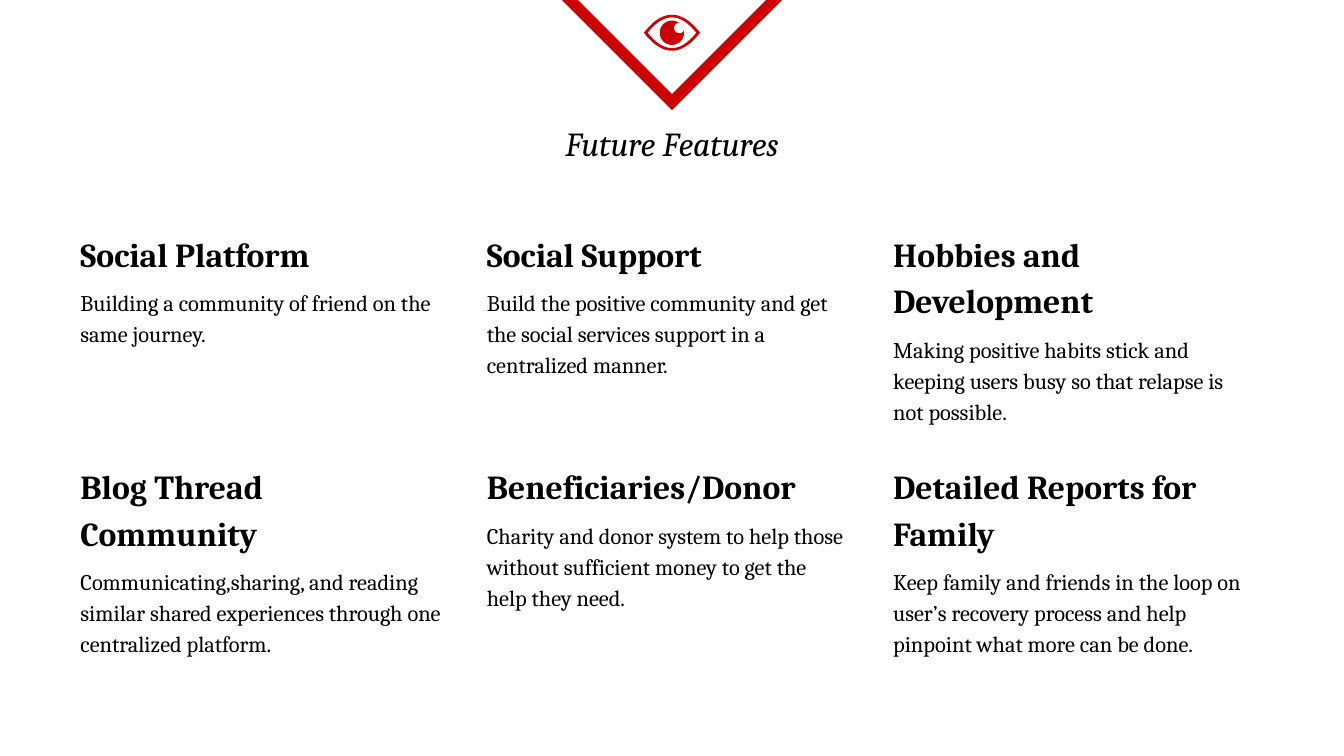
from copy import deepcopy
from dataclasses import dataclass
from math import cos, radians, sin

from lxml import etree
from pptx import Presentation
from pptx import util as u
from pptx.dml.color import RGBColor
from pptx.enum import shapes, text
from pptx.oxml import ns


@dataclass(frozen=True)
class Theme:
    accent: RGBColor = RGBColor(0xCC, 0x00, 0x00)
    ink: RGBColor = RGBColor(0x00, 0x00, 0x00)
    font: str = "Cambria"
    heading: int = 18
    body: int = 12
    frame: int = 6
    inset: float = 0.25


@dataclass(frozen=True)
class Box:
    left: float
    top: float
    width: float
    height: float

    def place(self, shape):
        shape.left, shape.top = u.Cm(self.left), u.Cm(self.top)
        shape.width, shape.height = u.Cm(self.width), u.Cm(self.height)


THEME = Theme()
FEATURES = [
    ("Social Platform", "Building a community of friend on the same journey."),
    ("Social Support", "Build the positive community and get the social services "
     "support in a centralized manner."),
    ("Hobbies and Development", "Making positive habits stick and keeping users busy "
     "so that relapse is not possible."),
    ("Blog Thread Community", "Communicating,sharing, and reading similar shared "
     "experiences through one centralized platform."),
    ("Beneficiaries/Donor", "Charity and donor system to help those without "
     "sufficient money to get the help they need."),
    ("Detailed Reports for Family", "Keep family and friends in the loop on user’s "
     "recovery process and help pinpoint what more can be done."),
]


def write(para, words, size=THEME.body, bold=False, italic=False,
          align=text.PP_ALIGN.LEFT, spacing=1.0, before=0):
    para.alignment, para.line_spacing = align, spacing
    para.space_before, para.space_after = u.Pt(before), u.Pt(0)
    props = para._p.get_or_add_pPr()
    props.set("marL", "0")
    props.set("indent", "0")
    etree.SubElement(props, ns.qn("a:buNone"))
    span = para.add_run()
    span.text = words
    span.font.name, span.font.size = THEME.font, u.Pt(size)
    span.font.bold, span.font.italic = bold, italic
    span.font.color.rgb = THEME.ink


def prepare_frame(holder, box):
    box.place(holder)
    frame = holder.text_frame
    frame.word_wrap = True
    frame.auto_size = text.MSO_AUTO_SIZE.NONE
    frame.vertical_anchor = text.MSO_ANCHOR.TOP
    frame.margin_left = frame.margin_right = u.Cm(THEME.inset)
    frame.margin_top = frame.margin_bottom = u.Cm(THEME.inset)
    return frame


def add_pointer(page, box):
    pointer = page.shapes.add_shape(shapes.MSO_SHAPE.ISOSCELES_TRIANGLE, 0, 0, 0, 0)
    box.place(pointer)
    pointer.rotation = 180
    pointer.shadow.inherit = False
    pointer.fill.background()
    pointer.line.color.rgb = THEME.accent
    pointer.line.width = u.Pt(THEME.frame)
    etree.SubElement(pointer.line._ln, ns.qn("a:miter")).set("lim", "800000")


def almond(half_width, half_height, steps=16):
    upper = [(half_width * i / steps, -half_height * (1 - (i / steps) ** 2))
             for i in range(-steps, steps + 1)]
    return upper + [(-x, -y) for x, y in upper[1:]]


def arc(x, y, radius, start, end, steps=32):
    angles = [radians(start + (end - start) * i / steps) for i in range(steps + 1)]
    return [(x + radius * cos(angle), y + radius * sin(angle)) for angle in angles]


def add_outline(group, centre, contours):
    placed = [[(u.Cm(centre[0] + x), u.Cm(centre[1] + y)) for x, y in contour]
              for contour in contours]
    builder = group.shapes.build_freeform(*placed[0][0])
    for number, contour in enumerate(placed):
        if number:
            builder.move_to(*contour[0])
        builder.add_line_segments(contour[1:], close=True)
    outline = builder.convert_to_shape()
    outline.shadow.inherit = False
    outline.fill.solid()
    outline.fill.fore_color.rgb = THEME.accent
    outline.line.fill.background()


def add_eye(page, box):
    centre = box.left + box.width / 2, box.top + box.height / 2
    half_width, half_height = box.width / 2, box.height / 2
    eye = page.shapes.add_group_shape()
    lid = almond(half_width, half_height)
    opening = almond(half_width - 0.07, half_height - 0.05)[::-1]
    iris = arc(0, 0, 0.23, -10, 300) + arc(0.14, -0.09, 0.1, 265, 30)
    add_outline(eye, centre, [lid, opening])
    add_outline(eye, centre, [iris])


def add_title(page, box):
    frame = prepare_frame(page.shapes.title, box)
    write(frame.paragraphs[0], "Future Features", size=THEME.heading, italic=True,
          align=text.PP_ALIGN.CENTER)


def add_feature(holder, box, heading, detail):
    frame = prepare_frame(holder, box)
    write(frame.paragraphs[0], heading, size=THEME.heading, bold=True,
          spacing=1.15, before=6)
    write(frame.add_paragraph(), detail, spacing=1.15, before=6)


def repeat_body(page, count):
    first = page.placeholders[1]
    holders = [first]
    for number in range(1, count):
        element = deepcopy(first._element)
        label = element.nvSpPr.cNvPr
        label.set("id", str(first.shape_id + number))
        label.set("name", f"Feature {number + 1}")
        page.shapes._spTree.append(element)
        holders.append(page.shapes[-1])
    return holders


def add_feature_grid(page, box, columns=3, column_gap=0.36, row_gap=0.76):
    rows = len(FEATURES) // columns
    width = (box.width - column_gap * (columns - 1)) / columns
    height = (box.height - row_gap * (rows - 1)) / rows
    for index, holder in enumerate(repeat_body(page, len(FEATURES))):
        row, column = divmod(index, columns)
        cell = Box(box.left + column * (width + column_gap),
                   box.top + row * (height + row_gap), width, height)
        add_feature(holder, cell, *FEATURES[index])


deck = Presentation()
deck.slide_width, deck.slide_height = u.Cm(25.4), u.Cm(14.29)
page = deck.slides.add_slide(deck.slide_layouts[1])
add_title(page, Box(2.87, 2.08, 19.66, 1.5))
add_feature_grid(page, Box(1.27, 4.06, 22.68, 8.02))
add_pointer(page, Box(10.62, -0.15, 4.16, 2.08))
add_eye(page, Box(12.17, 0.28, 1.06, 0.68))
deck.save("out.pptx")
